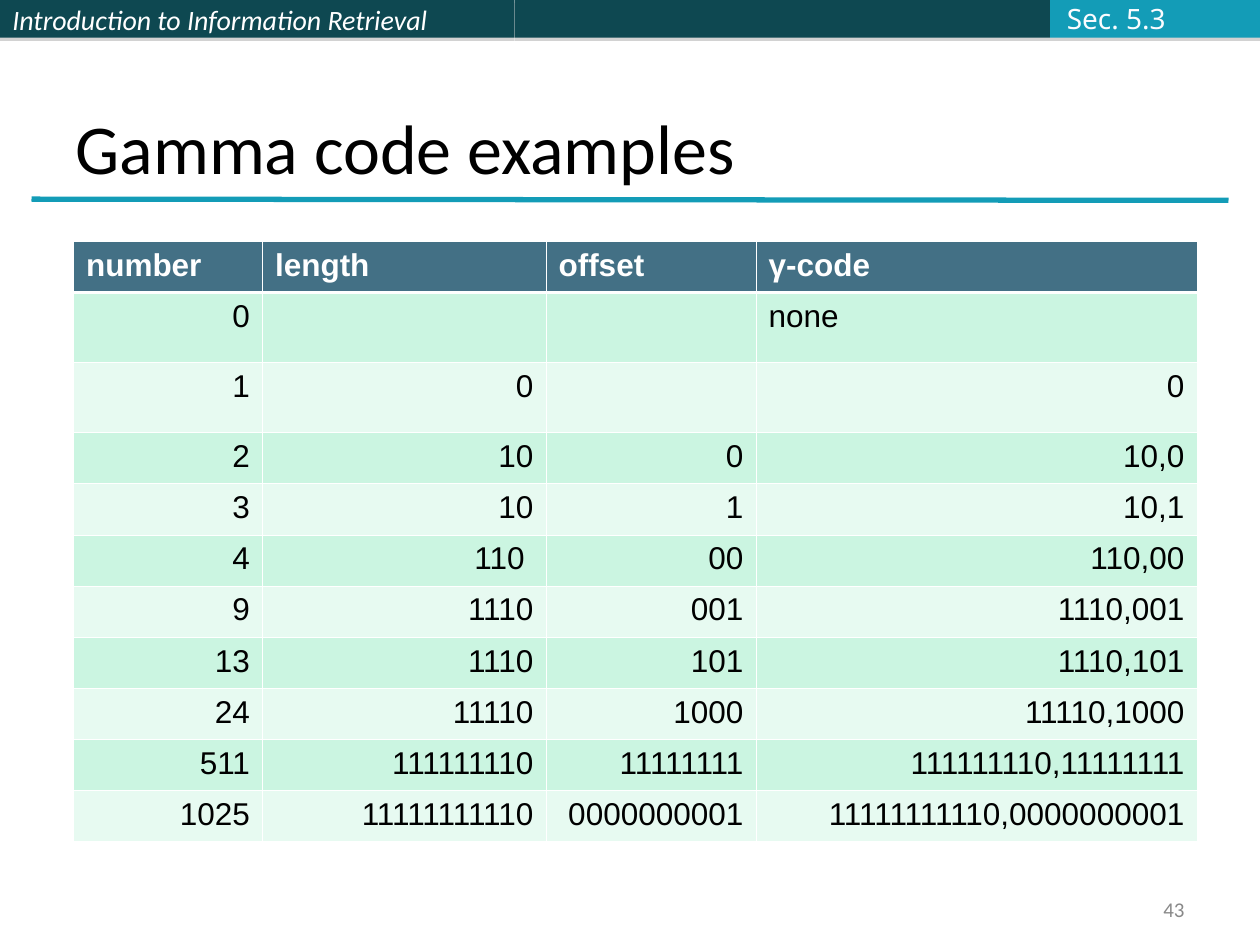
"""Build the slide of gamma code examples with its header bars and table."""
from lxml import etree
from pptx import Presentation
from pptx.dml.color import RGBColor
from pptx.enum.shapes import MSO_CONNECTOR, MSO_SHAPE
from pptx.enum.text import MSO_ANCHOR, MSO_AUTO_SIZE, PP_ALIGN
from pptx.oxml import parse_xml
from pptx.oxml.ns import nsdecls, qn
from pptx.util import Pt

RECT, STRAIGHT = MSO_SHAPE.RECTANGLE, MSO_CONNECTOR.STRAIGHT
LEFT, RIGHT = PP_ALIGN.LEFT, PP_ALIGN.RIGHT
MIDDLE, BOTTOM = MSO_ANCHOR.MIDDLE, MSO_ANCHOR.BOTTOM
NO_FIT, GROW = MSO_AUTO_SIZE.NONE, MSO_AUTO_SIZE.SHAPE_TO_FIT_TEXT

COLORS = {
    "dark": "0E4851", "teal": "139CB7", "shadow": "808080",
    "white": "FFFFFF", "black": "000000", "section": "FBFCFF",
    "number": "898989", "header": "437085", "odd": "CBF5E1", "even": "E7FAF1",
}


def rgb(name):
    return RGBColor.from_string(COLORS[name])


def write(tf, text, font="Calibri", size=16, color="black", bold=False,
          italic=False, align=LEFT, anchor=MIDDLE):
    tf.vertical_anchor = anchor
    p = tf.paragraphs[0]
    p.alignment = align
    r = p.add_run()
    r.text = text
    r.font.name, r.font.size = font, Pt(size)
    r.font.bold, r.font.italic = bold, italic
    r.font.color.rgb = rgb(color)


prs = Presentation()
prs.slide_width, prs.slide_height = Pt(720), Pt(540)
s = prs.slides.add_slide(prs.slide_layouts[5])

bar_left = 0
for width, color, text in [(294, "dark", "Introduction to Information Retrieval"),
                           (306, "dark", ""), (120, "teal", "")]:
    bar = s.shapes.add_shape(RECT, Pt(bar_left), 0, Pt(width), Pt(21.6))
    bar.fill.solid()
    bar.fill.fore_color.rgb = rgb(color)
    bar.line.fill.background()
    bar.shadow.inherit = False
    effects = bar.element.spPr.find(qn("a:effectLst"))
    effects.append(parse_xml(
        f'<a:outerShdw {nsdecls("a")} blurRad="0" dist="{Pt(1.8)}" dir="5400000" '
        f'algn="t" rotWithShape="0"><a:srgbClr val="{COLORS["shadow"]}">'
        '<a:alpha val="35000"/></a:srgbClr></a:outerShdw>'))
    if text:
        write(bar.text_frame, text, color="white", italic=True)
    bar_left += width

rule = s.shapes.add_connector(STRAIGHT, Pt(18), Pt(113.8), Pt(702), Pt(114.5))
rule.line.color.rgb = rgb("teal")
rule.line.width = Pt(3)
etree.SubElement(rule.element.spPr, qn("a:effectLst"))

title = s.shapes.title
title.left, title.top, title.width, title.height = Pt(36), Pt(21.6), Pt(648), Pt(90)
title.text_frame.auto_size = NO_FIT
write(title.text_frame, "Gamma code examples", size=40, anchor=BOTTOM)

rows = [
    ("number", "length", "offset", "γ-code"),
    ("0", "", "", "none"),
    ("1", "0", "", "0"),
    ("2", "10", "0", "10,0"),
    ("3", "10", "1", "10,1"),
    ("4", "110 ", "00", "110,00"),
    ("9", "1110", "001", "1110,001"),
    ("13", "1110", "101", "1110,101"),
    ("24", "11110", "1000", "11110,1000"),
    ("511", "111111110", "11111111", "111111110,11111111"),
    ("1025", "11111111110", "0000000001", "11111111110,0000000001"),
]
col_widths = [108, 162, 120, 252]
row_heights = [40 if "" in row else 29.25 for row in rows]
table = s.shapes.add_table(len(rows), len(col_widths), Pt(42), Pt(138),
                           Pt(sum(col_widths)), Pt(sum(row_heights))).table
for col, width in zip(table.columns, col_widths):
    col.width = Pt(width)
for i, row in enumerate(rows):
    table.rows[i].height = Pt(row_heights[i])
    header = i == 0
    fill = "header" if header else "odd" if i % 2 else "even"
    for j, text in enumerate(row):
        cell = table.cell(i, j)
        tcPr = cell._tc.get_or_add_tcPr()
        for side in "LRTB":
            heavy = (i, side) in [(0, "B"), (1, "T")]
            tcPr.append(parse_xml(
                f'<a:ln{side} {nsdecls("a")} w="{Pt(1.47 if heavy else 0.45)}">'
                f'<a:solidFill><a:srgbClr val="{COLORS["white"]}"/></a:solidFill>'
                f'</a:ln{side}>'))
        cell.fill.solid()
        cell.fill.fore_color.rgb = rgb(fill)
        if text:
            write(cell.text_frame, text, font="Arial", size=18, bold=header,
                  color="white" if header else "black", anchor=None,
                  align=LEFT if header or text == "none" else RIGHT)

section = s.shapes.add_textbox(Pt(602.6), Pt(-2.9), Pt(70.6), Pt(26.6))
section.text_frame.word_wrap = False
section.text_frame.auto_size = GROW
write(section.text_frame, "Sec. 5.3", font="Noto Sans", color="section")

number = s.shapes.add_textbox(Pt(516), Pt(510), Pt(168), Pt(19.4))
number.text_frame.word_wrap = True
write(number.text_frame, "43", size=12, color="number", align=RIGHT)

prs.save("out.pptx")
